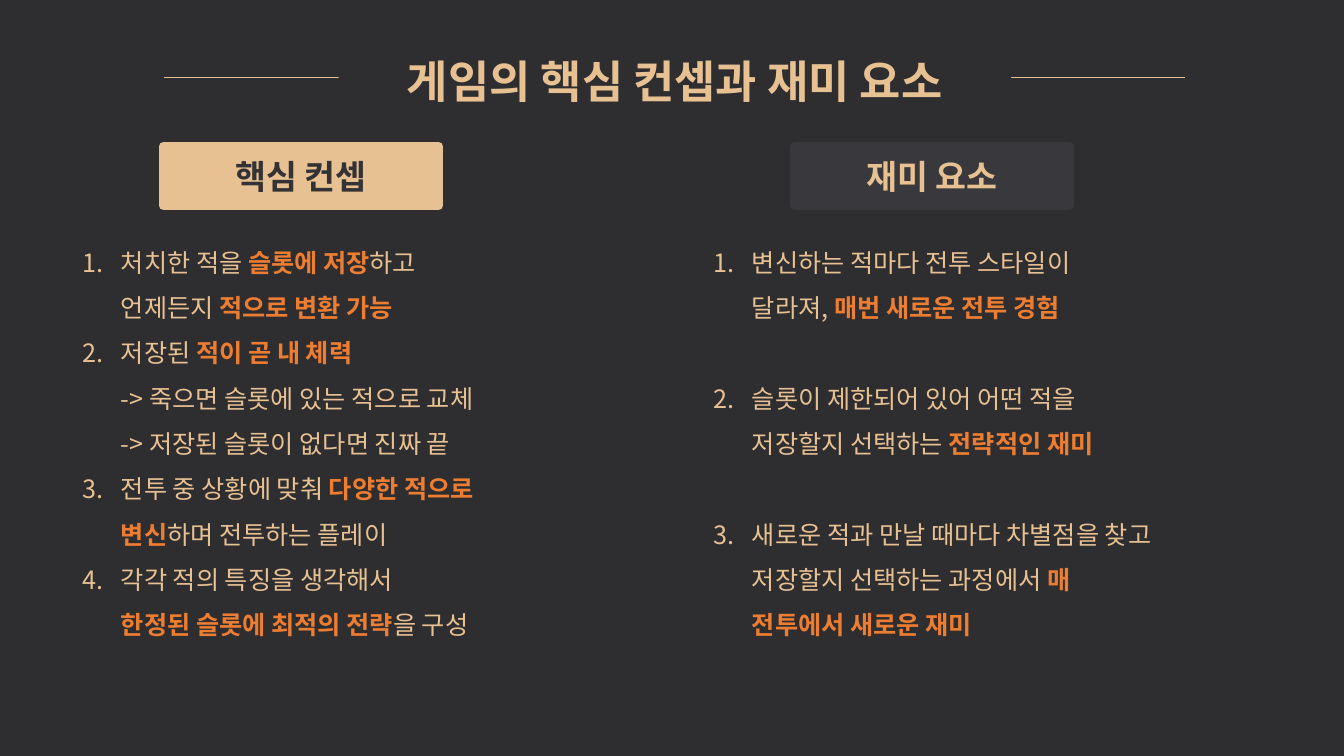
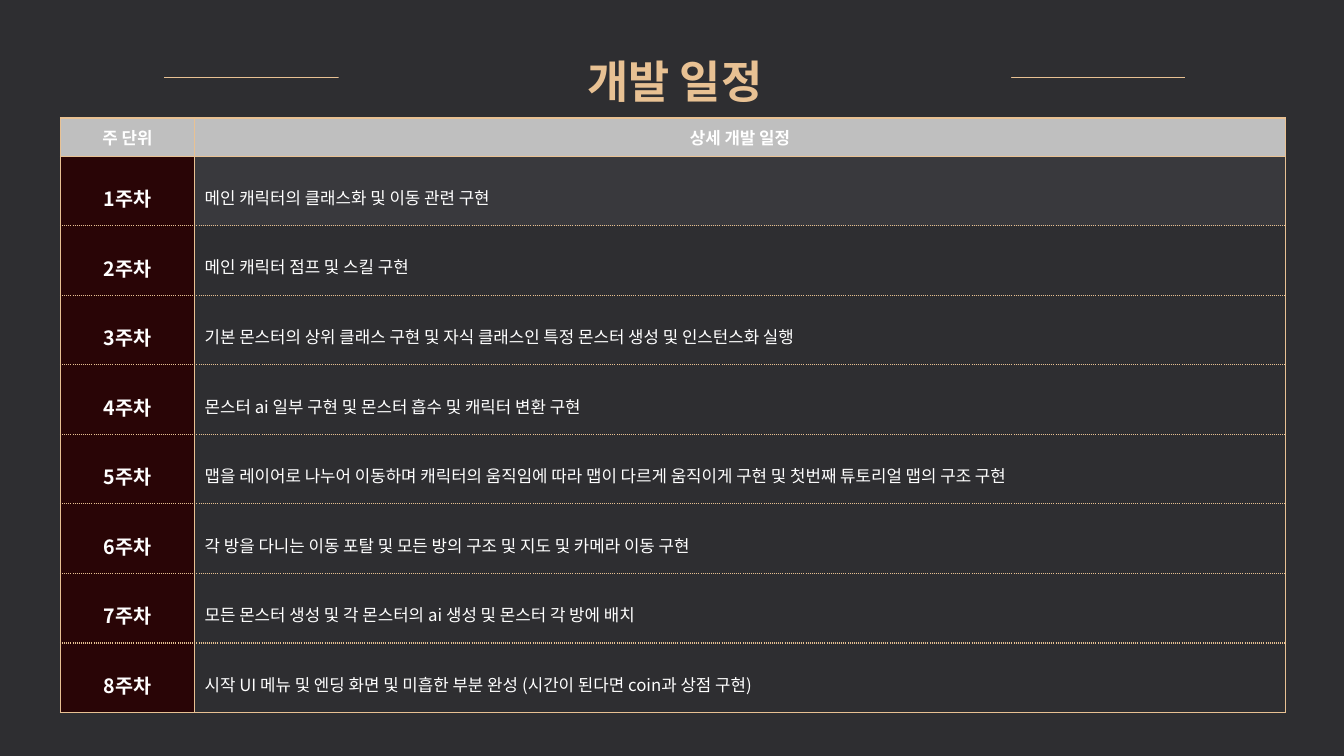
from lxml.etree import SubElement
from pptx import Presentation
from pptx.dml.color import RGBColor
from pptx.enum.shapes import MSO_CONNECTOR, MSO_SHAPE
from pptx.enum.text import MSO_ANCHOR as Anchor, MSO_AUTO_SIZE as AutoSize, PP_ALIGN as Align
from pptx.oxml.ns import qn
from pptx.util import Inches, Pt

FONT = "Noto Sans CJK KR"
BACKGROUND = RGBColor(0x2E, 0x2E, 0x31)
PANEL = RGBColor(0x39, 0x39, 0x3D)
SAND = RGBColor(0xE8, 0xC1, 0x93)
ORANGE = RGBColor(0xED, 0x7D, 0x31)
INK = RGBColor(0x33, 0x32, 0x34)
WHITE = RGBColor(0xFF, 0xFF, 0xFF)
HEADER_GRAY = RGBColor(0xBF, 0xBF, 0xBF)
MAROON = RGBColor(0x29, 0x05, 0x06)

TITLES = ["게임의 핵심 컨셉과 재미 요소", "개발 일정"]

# Asterisks enclose the highlighted words.
COLUMNS = [
    # list left, list width, heading left, heading, fill, text colour, item gap, items
    (0.72, 4.65, 1.62, "핵심 컨셉", SAND, INK, 0, [
        "처치한 적을* 슬롯에 저장*하고\n언제든지 *적으로 변환 가능*",
        "저장된 *적이 곧 내 체력 *\n-> 죽으면 슬롯에 있는 적으로 교체\n-> 저장된 슬롯이 없다면 진짜 끝",
        "전투 중 상황에 맞춰 *다양한 적으로 변신*하며 전투하는 플레이",
        "각각 적의 특징을 생각해서 \n*한정된 슬롯에 최적의 전략*을 구성",
    ]),
    (6.98, 4.54, 7.88, "재미 요소", PANEL, SAND, 32.4, [
        "변신하는 적마다 전투 스타일이 \n달라져, *매번 새로운 전투 경험*",
        "슬롯이 제한되어 있어 어떤 적을 \n저장할지 선택하는 *전략적인 재미*",
        "새로운 적과 만날 때마다 차별점을 찾고 저장할지 선택하는 과정에서 *매 전투에서 새로운 재미*",
    ]),
]

SCHEDULE_HEADER = ("주 단위", "상세 개발 일정")
WEEKLY_TASKS = [
    "메인 캐릭터의 클래스화 및 이동 관련 구현",
    "메인 캐릭터 점프 및 스킬 구현",
    "기본 몬스터의 상위 클래스 구현 및 자식 클래스인 특정 몬스터 생성 및 인스턴스화 실행",
    "몬스터 ai 일부 구현 및 몬스터 흡수 및 캐릭터 변환 구현",
    "맵을 레이어로 나누어 이동하며 캐릭터의 움직임에 따라 맵이 다르게 움직이게 구현 및 첫번째 튜토리얼 맵의 구조 구현",
    "각 방을 다니는 이동 포탈 및 모든 방의 구조 및 지도 및 카메라 이동 구현",
    "모든 몬스터 생성 및 각 몬스터의 ai 생성 및 몬스터 각 방에 배치",
    "시작 UI 메뉴 및 엔딩 화면 및 미흡한 부분 완성 (시간이 된다면 coin과 상점 구현)",
]


def style_run(span, size, color, bold=False):
    font = span.font
    font.name, font.size, font.bold = FONT, Pt(size), bold
    font.color.rgb = color
    SubElement(font._element, qn("a:ea"), typeface=FONT)


def add_block(page, left, top, width, height, text, size, color, fill):
    """Add a filled rectangle with one centred bold line of text."""
    block = page.shapes.add_shape(
        MSO_SHAPE.RECTANGLE, Inches(left), Inches(top), Inches(width), Inches(height))
    block.shadow.inherit = False
    block.fill.solid()
    block.fill.fore_color.rgb = fill
    block.line.fill.background()
    block.text_frame.text = text
    para = block.text_frame.paragraphs[0]
    para.alignment = Align.CENTER
    style_run(para.runs[0], size, color, bold=True)
    return block


deck = Presentation()
deck.slide_width, deck.slide_height = Inches(13.33), Inches(7.5)
master_fill = deck.slide_master.background.fill
master_fill.solid()
master_fill.fore_color.rgb = BACKGROUND

# Title over a thin rule, on every slide
pages = []
for title in TITLES:
    page = deck.slides.add_slide(deck.slide_layouts[6])
    pages.append(page)
    rule = page.shapes.add_connector(
        MSO_CONNECTOR.STRAIGHT, Inches(1.63), Inches(0.77), Inches(11.75), Inches(0.77))
    rule.line.color.rgb = SAND
    rule.line.width = Pt(0.5)
    SubElement(rule._element.spPr, qn("a:effectLst"))
    title_block = add_block(page, 3.36, 0.22, 6.67, 0.8, title, 32, SAND, BACKGROUND)
    title_block.text_frame.vertical_anchor = Anchor.TOP
    title_block.text_frame.auto_size = AutoSize.SHAPE_TO_FIT_TEXT
    title_block.text_frame.paragraphs[0].line_spacing = 1.5

concept_page, schedule_page = pages

# Two headed, numbered lists
for left, width, heading_left, heading, fill, color, gap, items in COLUMNS:
    heading_block = add_block(
        concept_page, heading_left, 1.45, 2.73, 0.59, heading, 24, color, fill)
    heading_block.line.color.rgb = fill
    heading_block.line.width = Pt(6.25)

    box = concept_page.shapes.add_textbox(
        Inches(left), Inches(2.25), Inches(width), Inches(4.13))
    frame = box.text_frame
    frame.word_wrap = True
    frame.auto_size = AutoSize.SHAPE_TO_FIT_TEXT
    for index, item in enumerate(items):
        para = frame.add_paragraph() if index else frame.paragraphs[0]
        para.line_spacing = 1.5
        para.space_before = Pt(gap if index else 0)
        properties = para._p.get_or_add_pPr()
        properties.set("marL", str(Inches(0.38)))
        properties.set("indent", str(-Inches(0.38)))
        SubElement(properties, qn("a:buFont"), typeface="+mj-lt")
        SubElement(properties, qn("a:buAutoNum"), type="arabicPeriod")
        for part_index, part in enumerate(item.split("*")):
            highlighted = part_index % 2 == 1
            for line_index, line in enumerate(part.split("\n")):
                if line_index:
                    para.add_line_break()
                if line:
                    span = para.add_run()
                    span.text = line
                    style_run(span, 18, ORANGE if highlighted else SAND, highlighted)

# Weekly schedule
rows = [SCHEDULE_HEADER]
rows += [(f"{week}주차", task) for week, task in enumerate(WEEKLY_TASKS, 1)]
last_row = len(rows) - 1
table = schedule_page.shapes.add_table(
    len(rows), 2, Inches(0.6), Inches(1.17), Inches(12.15), Inches(5.9)).table
table.first_row = table.horz_banding = False
table.columns[0].width, table.columns[1].width = Inches(1.33), Inches(10.82)

for row_index, texts in enumerate(rows):
    is_header = row_index == 0
    table.rows[row_index].height = Inches(0.38 if is_header else 0.69)
    dashes = {
        "lnL": "solid",
        "lnR": "solid",
        "lnT": "solid" if row_index <= 1 else "sysDot",
        "lnB": "solid" if row_index in (0, last_row) else "sysDot",
    }
    for column_index, text in enumerate(texts):
        is_label = column_index == 0
        cell = table.cell(row_index, column_index)
        cell.vertical_anchor = Anchor.MIDDLE
        for side, dash in dashes.items():
            border = SubElement(cell._tc.get_or_add_tcPr(), qn(f"a:{side}"), w=str(Pt(1)))
            border_fill = SubElement(border, qn("a:solidFill"))
            SubElement(border_fill, qn("a:srgbClr"), val=str(SAND))
            SubElement(border, qn("a:prstDash"), val=dash)

        if is_header:
            fill = HEADER_GRAY
        elif is_label:
            fill = MAROON
        else:
            fill = PANEL if row_index == 1 else None
        if fill is None:
            cell.fill.background()
        else:
            cell.fill.solid()
            cell.fill.fore_color.rgb = fill

        cell.text_frame.text = text
        para = cell.text_frame.paragraphs[0]
        para.alignment = Align.CENTER if is_header or is_label else Align.LEFT
        para.line_spacing = 1.0 if is_header else 1.5
        size = 14 if is_label and not is_header else 12
        style_run(para.runs[0], size, WHITE, is_header or is_label)

deck.save("out.pptx")
